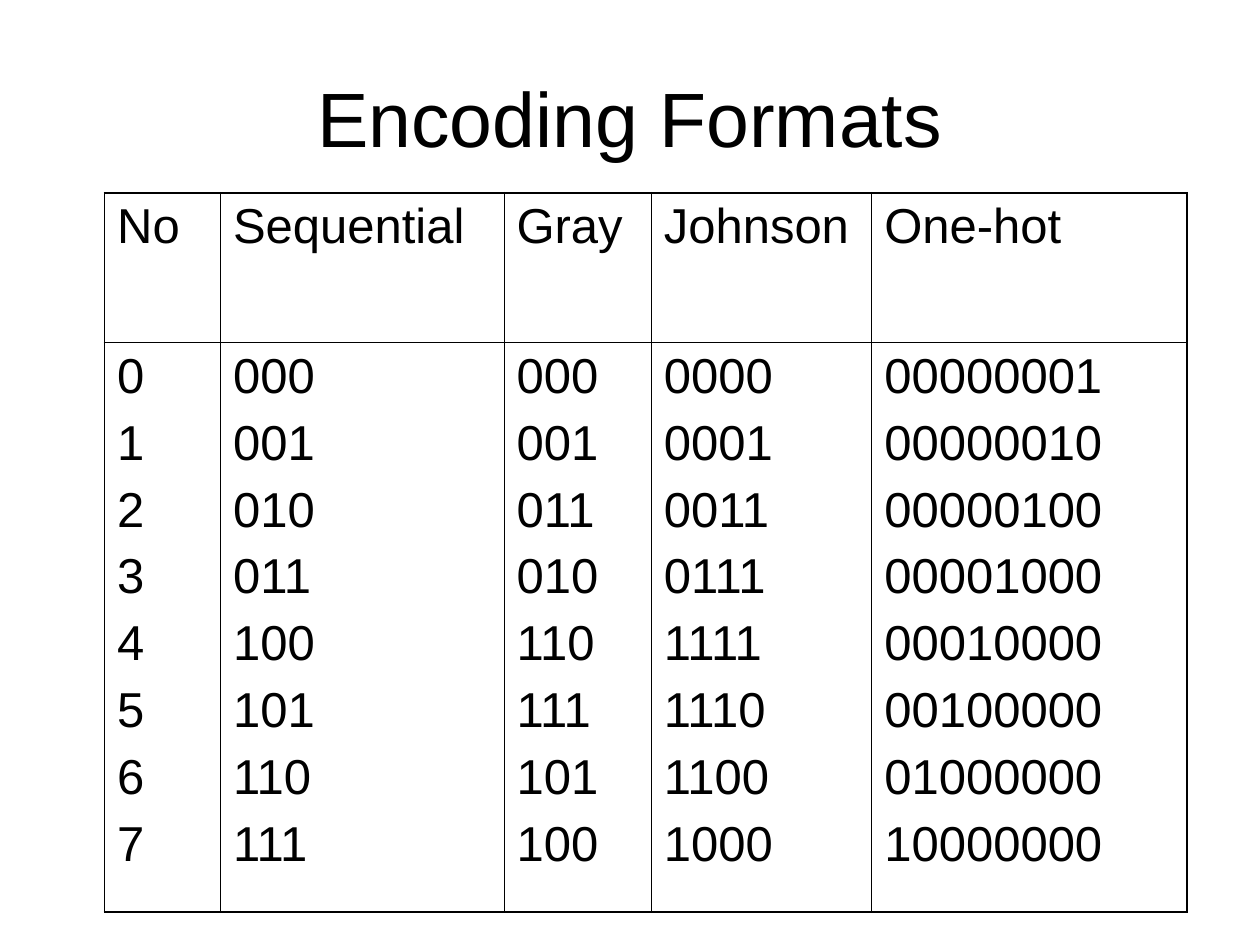
import pptx
import pptx.util
import pptx.dml.color
import pptx.enum.text
import pptx.oxml

Inches = pptx.util.Inches
Pt = pptx.util.Pt

BLACK = "000000"
THIN, THICK = 0.45, 1.08
COLUMNS = [
    ("No", 0.92, "0 1 2 3 4 5 6 7"),
    ("Sequential", 2.25, "000 001 010 011 100 101 110 111"),
    ("Gray", 1.17, "000 001 011 010 110 111 101 100"),
    ("Johnson", 1.75, "0000 0001 0011 0111 1111 1110 1100 1000"),
    ("One-hot", 2.5, "00000001 00000010 00000100 00001000 "
                     "00010000 00100000 01000000 10000000"),
]
ROW_HEIGHTS = [1.19, 4.52]


def color(value):
    return pptx.dml.color.RGBColor.from_string(value)


def write_text(frame, text, size=28, font="Arial", fill=BLACK, align="LEFT", before=0):
    frame.text = text
    for para in frame.paragraphs:
        para.alignment = pptx.enum.text.PP_ALIGN[align]
        para.space_before = Pt(before)
        for span in para.runs:
            span.font.size = Pt(size)
            span.font.name = font
            span.font.color.rgb = color(fill)


def add_title(page, text):
    box = page.shapes.title
    box.left, box.top = Inches(0.5), Inches(0.3)
    box.width, box.height = Inches(9), Inches(1.25)
    box.text_frame.vertical_anchor = pptx.enum.text.MSO_ANCHOR.MIDDLE
    write_text(box.text_frame, text, size=44, align="CENTER")


def set_borders(cell, widths):
    properties = cell._tc.get_or_add_tcPr()
    for index, (side, width) in enumerate(widths.items()):
        properties.insert(index, pptx.oxml.parse_xml(
            f'<a:ln{side} xmlns:a="http://schemas.openxmlformats.org/drawingml/2006/main"'
            f' w="{int(Pt(width))}"><a:solidFill><a:srgbClr val="{BLACK}"/></a:solidFill>'
            f'</a:ln{side}>'))


def add_code_table(page):
    last_row, last_column = len(ROW_HEIGHTS) - 1, len(COLUMNS) - 1
    total_width = sum(width for heading, width, codes in COLUMNS)
    table = page.shapes.add_table(
        len(ROW_HEIGHTS), len(COLUMNS), Inches(0.83), Inches(1.53),
        Inches(total_width), Inches(sum(ROW_HEIGHTS))).table
    table.first_row = table.horz_banding = False
    for row, height in zip(table.rows, ROW_HEIGHTS):
        row.height = Inches(height)
    for column, (heading, width, codes) in enumerate(COLUMNS):
        table.columns[column].width = Inches(width)
        for row, text in enumerate([heading, "\n".join(codes.split())]):
            cell = table.cell(row, column)
            cell.fill.background()
            write_text(cell.text_frame, text, before=7)
            set_borders(cell, {
                "L": THICK if column == 0 else THIN,
                "R": THICK if column == last_column else THIN,
                "T": THICK if row == 0 else THIN,
                "B": THICK if row == last_row else THIN,
            })


def main():
    deck = pptx.Presentation()
    deck.slide_width, deck.slide_height = Inches(10), Inches(7.5)
    page = deck.slides.add_slide(deck.slide_layouts.get_by_name("Title Only"))
    add_title(page, "Encoding Formats")
    add_code_table(page)
    deck.save("out.pptx")


if __name__ == "__main__":
    main()
